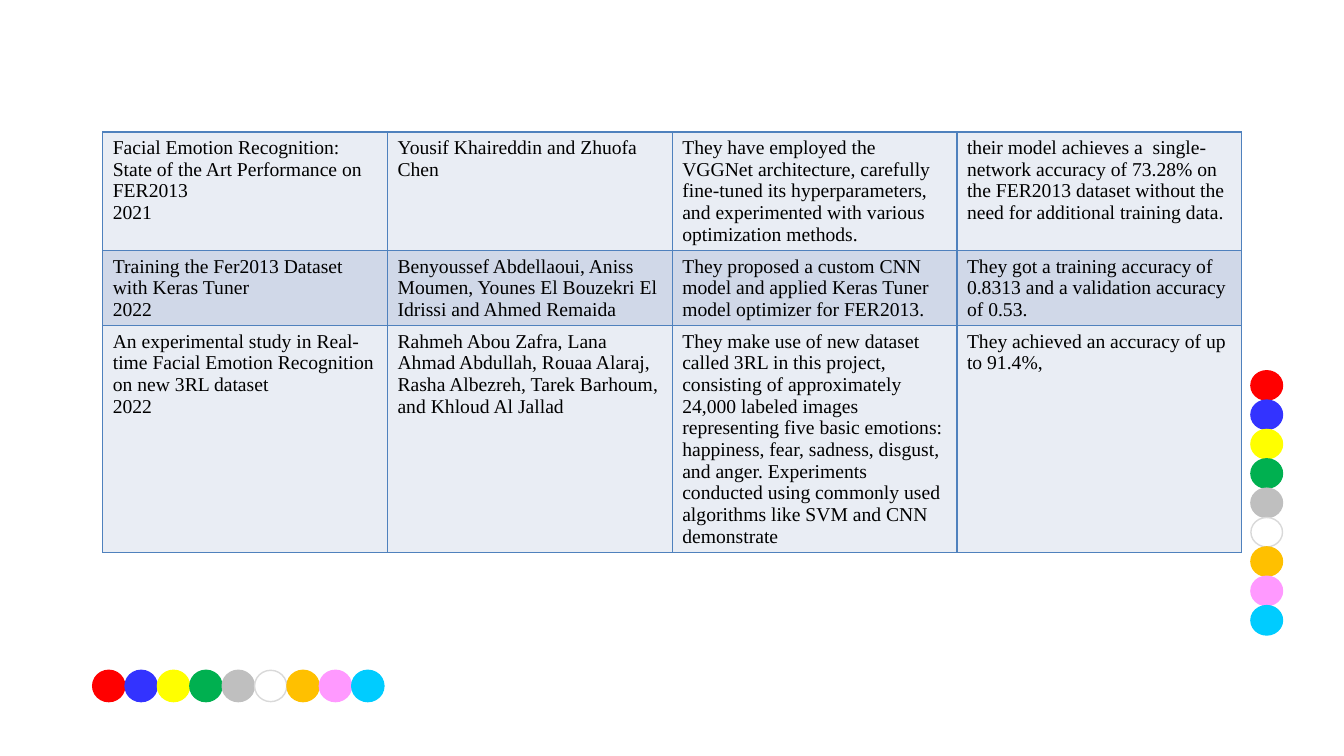
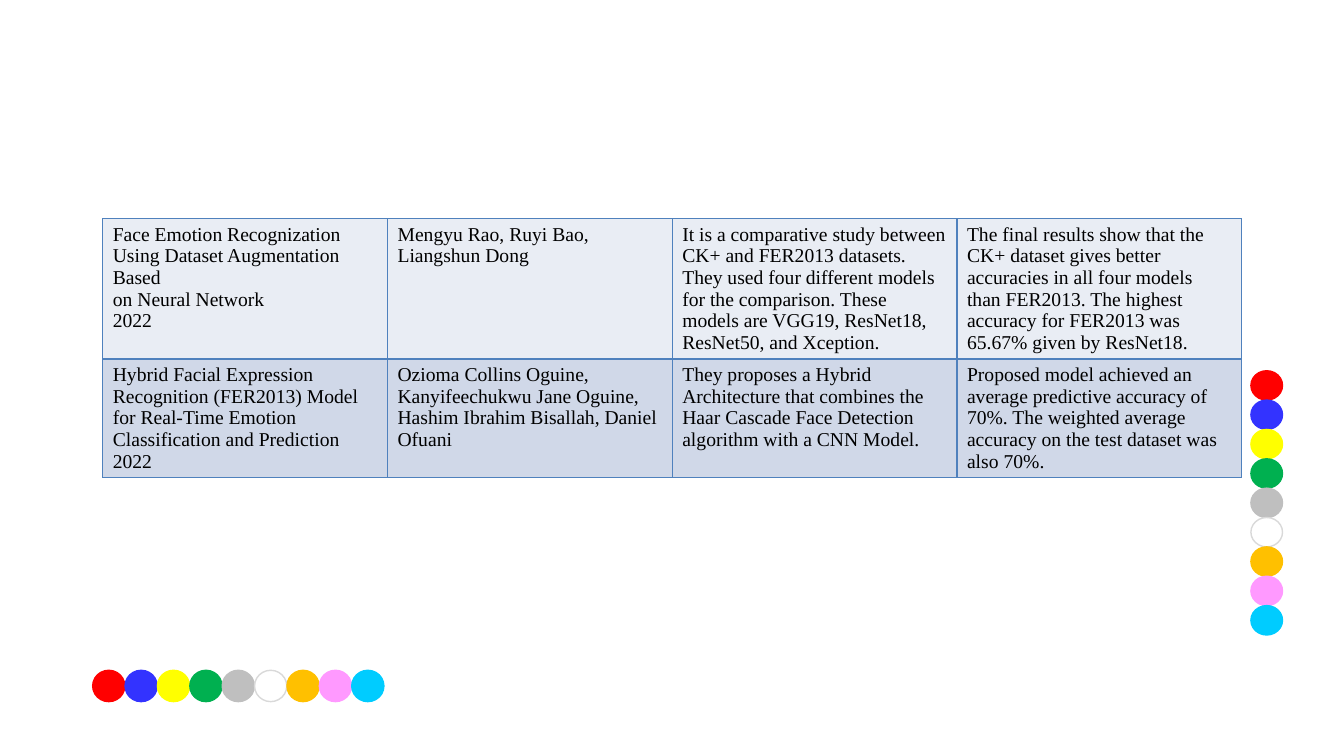
from dataclasses import dataclass

from lxml.etree import SubElement
from pptx import Presentation
from pptx.dml.color import RGBColor
from pptx.enum.shapes import MSO_SHAPE as Preset
from pptx.oxml.ns import qn
from pptx.util import Pt


@dataclass(frozen=True)
class Theme:
    font: str = "Times New Roman"
    body_size: float = 14
    line_height: float = 15.5
    cell_padding: float = 7.2
    text: str = "000000"
    border: str = "4F81BD"
    bands: tuple = ("E9EDF4", "D0D8E8")
    dots: tuple = ("FF0000", "3333FF", "FFFF00", "00B050", "BFBFBF",
                   "FFFFFF", "FFC000", "FF99FF", "00CCFF")
    white_dot: str = "FFFFFF"
    white_dot_line: str = "D9D9D9"


class Builder:
    def __init__(self, theme):
        self.theme = theme
        self.deck = Presentation()
        self.deck.slide_width = Pt(960)
        self.deck.slide_height = Pt(540)
        self.layout = self.deck.slide_layouts[6]
        self.page = None

    def add_page(self):
        self.page = self.deck.slides.add_slide(self.layout)

    def dot_chain(self, left, top, width, height, step_x=0, step_y=0):
        group = self.page.shapes.add_group_shape()
        for index, color in enumerate(self.theme.dots):
            dot = group.shapes.add_shape(
                Preset.FLOWCHART_CONNECTOR,
                Pt(left + index * step_x), Pt(top + index * step_y),
                Pt(width), Pt(height))
            dot.shadow.inherit = False
            dot.fill.solid()
            dot.fill.fore_color.rgb = RGBColor.from_string(color)
            outline = self.theme.white_dot_line if color == self.theme.white_dot else color
            dot.line.color.rgb = RGBColor.from_string(outline)
            dot.line.width = Pt(1)
        return group

    def share_decoration(self):
        chains = [
            self.dot_chain(893.5, 264.8, 22.6, 21, step_y=20.97),
            self.dot_chain(66.2, 478.8, 23, 22.4, step_x=23.13),
        ]
        tree = self.layout.shapes.element
        for placeholder in list(self.layout.placeholders):
            tree.remove(placeholder.element)
        for chain in chains:
            tree.append(chain.element)

    def table(self, left, top, width, rows):
        theme = self.theme
        columns = len(rows[0][1])
        heights = [lines * theme.line_height + theme.cell_padding for lines, _ in rows]
        frame = self.page.shapes.add_table(
            len(rows), columns, Pt(left), Pt(top), Pt(width), Pt(sum(heights)))
        table = frame.table
        table.first_row = False
        table.horz_banding = False
        for column in table.columns:
            column.width = Pt(width / columns)
        for index, (_, texts) in enumerate(rows):
            table.rows[index].height = Pt(heights[index])
            band = theme.bands[index % len(theme.bands)]
            for cell, text in zip(table.rows[index].cells, texts):
                self.cell(cell, text, band)

    def cell(self, cell, text, band):
        self.cell_borders(cell)
        cell.fill.solid()
        cell.fill.fore_color.rgb = RGBColor.from_string(band)
        for index, line in enumerate(text.split("\n")):
            frame = cell.text_frame
            para = frame.add_paragraph() if index else frame.paragraphs[0]
            span = para.add_run()
            span.text = line
            span.font.name = self.theme.font
            span.font.size = Pt(self.theme.body_size)
            span.font.color.rgb = RGBColor.from_string(self.theme.text)

    def cell_borders(self, cell):
        properties = cell._tc.get_or_add_tcPr()
        for side in ("a:lnL", "a:lnR", "a:lnT", "a:lnB"):
            line = SubElement(properties, qn(side), w=str(Pt(1)))
            fill = SubElement(line, qn("a:solidFill"))
            SubElement(fill, qn("a:srgbClr"), val=self.theme.border)


RECENT_STUDIES = [
    (5, [
        "Facial Emotion Recognition: State of the Art Performance on FER2013\n2021",
        "Yousif Khaireddin and Zhuofa Chen",
        "They have employed the VGGNet architecture, carefully fine-tuned its "
        "hyperparameters, and experimented with various optimization methods.",
        "their model achieves a  single-network accuracy of 73.28% on the FER2013 "
        "dataset without the need for additional training data.",
    ]),
    (3, [
        "Training the Fer2013 Dataset with Keras Tuner\n2022",
        "Benyoussef Abdellaoui, Aniss Moumen, Younes El Bouzekri El Idrissi "
        "and Ahmed Remaida",
        "They proposed a custom CNN model and applied Keras Tuner model optimizer "
        "for FER2013.",
        "They got a training accuracy of 0.8313 and a validation accuracy of 0.53.",
    ]),
    (10, [
        "An experimental study in Real-time Facial Emotion Recognition on new "
        "3RL dataset\n2022",
        "Rahmeh Abou Zafra, Lana Ahmad Abdullah, Rouaa Alaraj, Rasha Albezreh, "
        "Tarek Barhoum, and Khloud Al Jallad",
        "They make use of new dataset called 3RL in this project, consisting of "
        "approximately 24,000 labeled images representing five basic emotions: "
        "happiness, fear, sadness, disgust, and anger. Experiments conducted using "
        "commonly used algorithms like SVM and CNN demonstrate",
        "They achieved an accuracy of up to 91.4%,",
    ]),
]

MODEL_STUDIES = [
    (6, [
        "Face Emotion Recognization Using Dataset Augmentation Based\n"
        "on Neural Network\n2022",
        "Mengyu Rao, Ruyi Bao, Liangshun Dong",
        "It is a comparative study between CK+ and FER2013 datasets. They used four "
        "different models for the comparison. These models are VGG19, ResNet18, "
        "ResNet50, and Xception.",
        "The final results show that the CK+ dataset gives better accuracies in all "
        "four models than FER2013. The highest accuracy for FER2013 was 65.67% given "
        "by ResNet18.",
    ]),
    (5, [
        "Hybrid Facial Expression Recognition (FER2013) Model for Real-Time Emotion "
        "Classification and Prediction\n2022",
        "Ozioma Collins Oguine, Kanyifeechukwu Jane Oguine, Hashim Ibrahim Bisallah, "
        "Daniel Ofuani",
        "They proposes a Hybrid Architecture that combines the Haar Cascade Face "
        "Detection algorithm with a CNN Model.",
        "Proposed model achieved an average predictive accuracy of 70%. The weighted "
        "average accuracy on the test dataset was also 70%.",
    ]),
]


def main():
    builder = Builder(Theme())
    builder.add_page()
    builder.share_decoration()
    builder.table(73.4, 94.3, 813.6, RECENT_STUDIES)
    builder.add_page()
    builder.table(73.4, 156.2, 813.6, MODEL_STUDIES)
    builder.deck.save("out.pptx")


if __name__ == "__main__":
    main()
